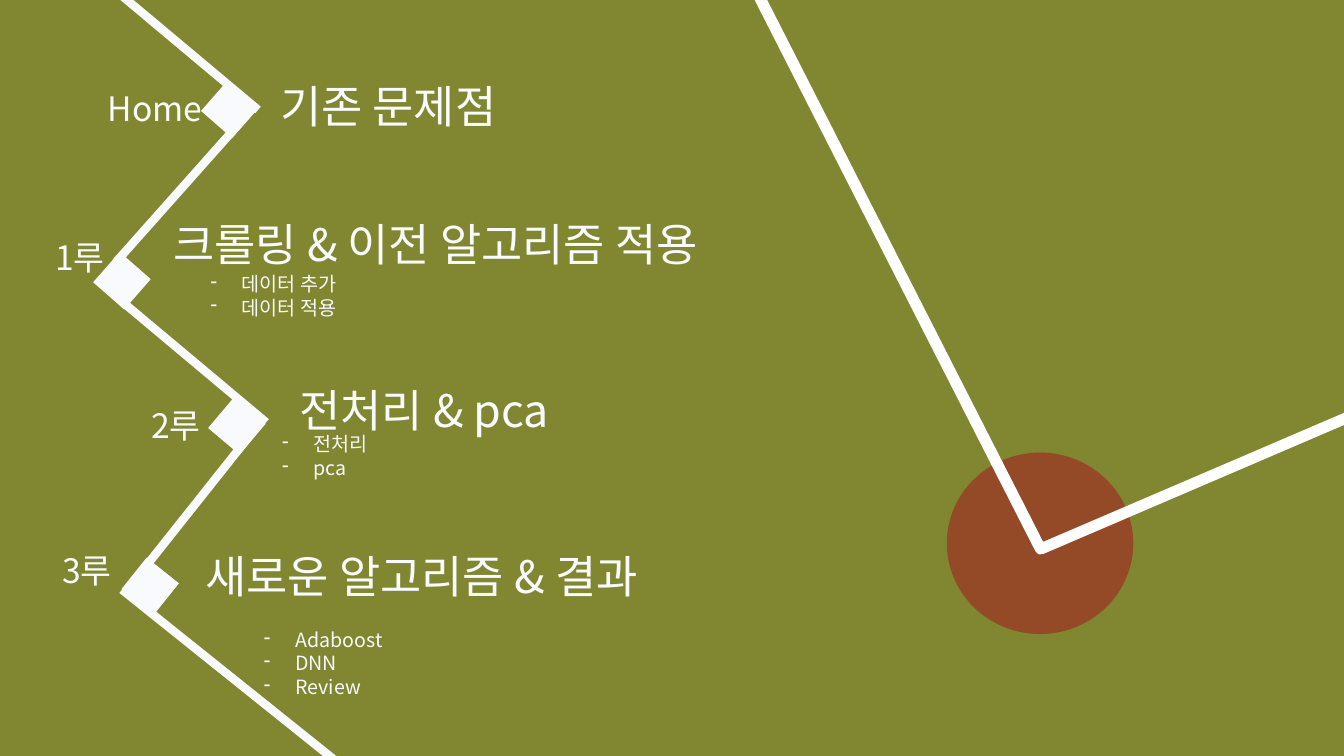
from dataclasses import dataclass

from pptx import Presentation, util as u
from pptx.dml.color import RGBColor
from pptx.enum import shapes, text
from pptx.oxml.ns import qn
from lxml import etree

GRASS = RGBColor(0x81, 0x86, 0x30)
CLAY = RGBColor(0x94, 0x4A, 0x27)
CHALK = RGBColor(0xF9, 0xFA, 0xFD)
WHITE = RGBColor(0xFF, 0xFF, 0xFF)
FONT = "Noto Sans CJK KR"
INDENT = 0.31


@dataclass
class Base:
    """One stop; plate, heading and topics are offsets from the label's corner."""
    label: str
    heading: str
    corner: tuple
    plate: tuple
    angle: float
    heading_at: tuple
    heading_width: float = 5.63
    topics: tuple = ()
    topics_at: tuple = (0, 0)
    topics_size: tuple = (4.5, 1.03)


BASES = [
    Base("Home", "기존 문제점", (0.97, 0.82), (1.11, 0.06), 311.2, (1.71, -0.09)),
    Base("1루", "크롤링 & 이전 알고리즘 적용", (0.45, 2.3), (0.56, 0.28), 311.2,
         (1.17, -0.2), 6.81, ("데이터 추가", "데이터 적용"), (1.54, 0.35), (5.12, 0.57)),
    Base("2루", "전처리 & pca", (1.4, 3.97), (0.75, 0.05), 310.1,
         (1.47, -0.22), 5.63, ("전처리", "pca"), (1.3, 0.27)),
    Base("3루", "새로운 알고리즘 & 결과", (0.52, 5.41), (0.77, 0.2), 308.6,
         (1.42, -0.02), 5.63, ("Adaboost", "DNN", "Review"), (2, 0.77)),
]
BASE_LINES = [
    ((1.14, -0.1), (2.56, 1.09)),
    ((2.52, 1.06), (1.15, 2.6)),
    ((1.22, 3), (2.64, 4.19)),
    ((2.43, 4.38), (1.43, 5.64)),
    ((1.21, 5.85), (4.38, 8.39)),
]


def inches(values):
    return [u.Inches(value) for value in values]


def add_figure(slide, kind, box, fill=None, angle=0):
    shape = slide.shapes.add_shape(kind, *inches(box))
    shape.shadow.inherit = False
    shape.rotation = angle
    if fill is None:
        shape.fill.background()
    else:
        shape.fill.solid()
        shape.fill.fore_color.rgb = fill
        shape.line.fill.background()
    return shape


def add_dash(paragraph):
    properties = paragraph._p.get_or_add_pPr()
    properties.set("marL", str(u.Inches(INDENT)))
    properties.set("indent", str(-u.Inches(INDENT)))
    etree.SubElement(properties, qn("a:buChar")).set("char", "-")


def add_words(slide, box, lines, size, dashed=False):
    frame = slide.shapes.add_textbox(*inches(box)).text_frame
    frame.word_wrap = True
    frame.auto_size = text.MSO_AUTO_SIZE.SHAPE_TO_FIT_TEXT
    for index, line in enumerate(lines):
        paragraph = frame.add_paragraph() if index else frame.paragraphs[0]
        if dashed:
            add_dash(paragraph)
        run = paragraph.add_run()
        run.text = line
        run.font.size = u.Pt(size)
        run.font.name = FONT
        run.font.color.rgb = CHALK
        east_asian = etree.SubElement(run._r.get_or_add_rPr(), qn("a:ea"))
        east_asian.set("typeface", FONT)


def draw_infield(slide, left, top):
    """Draws the mound and the large diamond around it."""
    add_figure(slide, shapes.MSO_SHAPE.OVAL, (left, top, 1.85, 1.8), CLAY)
    diamond = add_figure(slide, shapes.MSO_SHAPE.DIAMOND,
                         (left - 2.8, top - 10.4, 11.31, 12.08), angle=109.9)
    diamond.line.color.rgb = WHITE
    diamond.line.width = u.Pt(8)


def draw_base_lines(slide):
    for start, end in BASE_LINES:
        line = slide.shapes.add_connector(shapes.MSO_CONNECTOR.STRAIGHT,
                                          *inches(start + end))
        line.line.color.rgb = CHALK
        line.line.width = u.Pt(6)
        etree.SubElement(line._element.spPr, qn("a:effectLst"))


def draw_base(slide, base):
    left, top = base.corner

    def box(offset, width, height):
        return left + offset[0], top + offset[1], width, height

    add_figure(slide, shapes.MSO_SHAPE.RECTANGLE, box(base.plate, 0.4, 0.41),
               CHALK, base.angle)
    add_words(slide, box((0, 0), 1.24, 0.49), [base.label], 24)
    add_words(slide, box(base.heading_at, base.heading_width, 0.63), [base.heading], 32)
    if base.topics:
        add_words(slide, box(base.topics_at, *base.topics_size), base.topics, 14, dashed=True)


def main():
    presentation = Presentation()
    presentation.slide_width = u.Inches(13.33)
    presentation.slide_height = u.Inches(7.5)
    slide = presentation.slides.add_slide(presentation.slide_layouts[6])
    slide.background.fill.solid()
    slide.background.fill.fore_color.rgb = GRASS
    draw_infield(slide, 9.39, 4.49)
    draw_base_lines(slide)
    for base in BASES:
        draw_base(slide, base)
    presentation.save("out.pptx")


if __name__ == "__main__":
    main()
